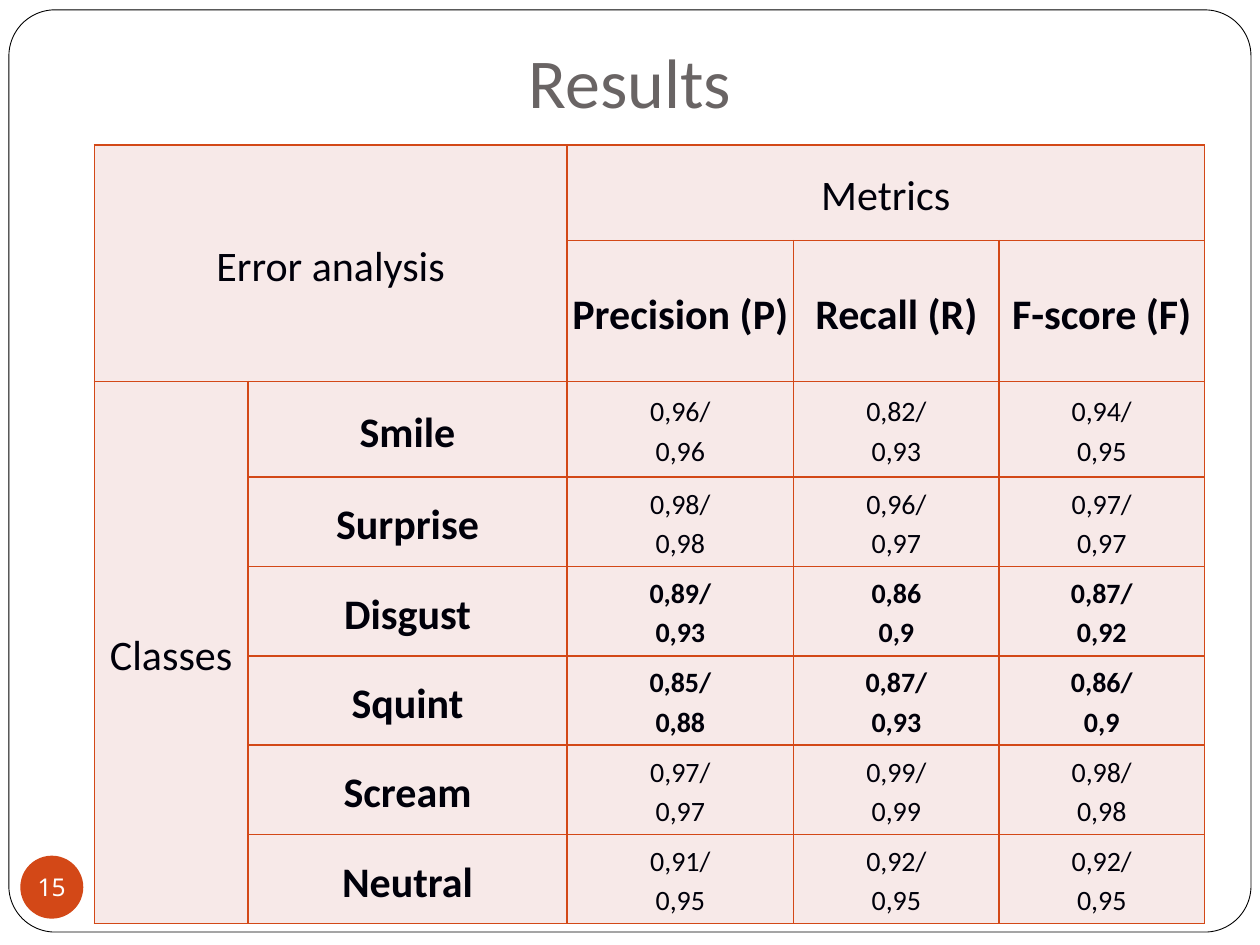
import pptx
import pptx.chart.data
import pptx.dml.color
import pptx.enum.shapes
import pptx.enum.text
import pptx.oxml
import pptx.oxml.ns
import pptx.util

Cm = pptx.util.Cm
Pt = pptx.util.Pt
CENTER = pptx.enum.text.PP_ALIGN.CENTER
MIDDLE = pptx.enum.text.MSO_ANCHOR.MIDDLE
SHAPES = pptx.enum.shapes.MSO_SHAPE

TITLE = "Results"
PAGE = "15"
METRICS = ["Precision (P)", "Recall (R)", "F-score (F)"]
SCORES = [
    ("Smile", False, ["0,96/\n0,96", "0,82/\n0,93", "0,94/\n0,95"]),
    ("Surprise", False, ["0,98/\n0,98", "0,96/\n0,97", "0,97/\n0,97"]),
    ("Disgust", True, ["0,89/\n0,93", "0,86\n0,9", "0,87/\n0,92"]),
    ("Squint", True, ["0,85/\n0,88", "0,87/\n0,93", "0,86/\n0,9"]),
    ("Scream", False, ["0,97/\n0,97", "0,99/\n0,99", "0,98/\n0,98"]),
    ("Neutral", False, ["0,91/\n0,95", "0,92/\n0,95", "0,92/\n0,95"]),
]
COL_WIDTHS = [3.1, 6.43, 4.57, 4.14, 4.14]
ROW_HEIGHTS = [1.93, 2.84, 1.93] + [1.8] * 5
MERGES = [(0, 0, 1, 1), (0, 2, 0, 4), (2, 0, 7, 0)]
ACCENT, TINT, INK, GREY, WHITE = "D34817", "F7E9E8", "00000A", "696464", "FFFFFF"


def rgb(value):
    return pptx.dml.color.RGBColor.from_string(value)


def format_text(tf, size, color, font="Calibri", bold=False, spacing=None):
    for p in tf.paragraphs:
        p.alignment = CENTER
        p.line_spacing = spacing
        p.font.size = Pt(size)
        p.font.name = font
        p.font.bold = bold
        p.font.color.rgb = rgb(color)


def add_shape(kind, left, top, width, height, fill):
    sp = s.shapes.add_shape(kind, Cm(left), Cm(top), Cm(width), Cm(height))
    sp.shadow.inherit = False
    sp.fill.solid()
    sp.fill.fore_color.rgb = rgb(fill)
    return sp


def style_cell(cell):
    cell.margin_left = cell.margin_right = Cm(0.1)
    cell.margin_top = cell.margin_bottom = Cm(0.1)
    cell.vertical_anchor = MIDDLE
    tcPr = cell._tc.get_or_add_tcPr()
    for side in "LRTB":
        tcPr.append(pptx.oxml.parse_xml(
            f'<a:ln{side} {pptx.oxml.ns.nsdecls("a")} w="12700"><a:solidFill>'
            f'<a:srgbClr val="{ACCENT}"/></a:solidFill></a:ln{side}>'))
    cell.fill.solid()
    cell.fill.fore_color.rgb = rgb(TINT)


def write_cell(row, col, text, size=24, bold=False):
    tf = table.cell(row, col).text_frame
    tf.text = text
    format_text(tf, size, INK, bold=bold, spacing=1.15)


prs = pptx.Presentation()
prs.slide_width, prs.slide_height = Cm(25.4), Cm(19.05)
s = prs.slides.add_slide(prs.slide_layouts[5])

frame = add_shape(SHAPES.ROUNDED_RECTANGLE, 0.18, 0.2, 25.04, 18.59, WHITE)
frame.adjustments[0] = 0.05
frame.line.color.rgb = rgb("000000")
frame.line.width = Pt(0.5)
s.shapes._spTree.insert(2, frame._element)

title = s.shapes.title
title.left, title.top, title.width, title.height = Cm(0.3), Cm(0.53), Cm(24.8), Cm(2.2)
tf = title.text_frame
tf.text = TITLE
tf.vertical_anchor = pptx.enum.text.MSO_ANCHOR.BOTTOM
tf.margin_bottom = Cm(0.25)
format_text(tf, 40, GREY)

table = s.shapes.add_table(
    len(ROW_HEIGHTS), len(COL_WIDTHS), Cm(1.9), Cm(2.92),
    Cm(sum(COL_WIDTHS)), Cm(sum(ROW_HEIGHTS))).table
table.first_row = table.horz_banding = False
for column, width in zip(table.columns, COL_WIDTHS):
    column.width = Cm(width)
for row, height in zip(table.rows, ROW_HEIGHTS):
    row.height = Cm(height)
for cell in table.iter_cells():
    style_cell(cell)
for top, left, bottom, right in MERGES:
    table.cell(top, left).merge(table.cell(bottom, right))

write_cell(0, 0, "Error analysis")
write_cell(0, 2, "Metrics")
write_cell(2, 0, "Classes")
for col, metric in enumerate(METRICS, 2):
    write_cell(1, col, metric, bold=True)
for row, (label, bold, values) in enumerate(SCORES, 2):
    write_cell(row, 1, label, bold=True)
    for col, value in enumerate(values, 2):
        write_cell(row, col, value, 16, bold)

badge = add_shape(SHAPES.OVAL, 0.41, 17.25, 1.27, 1.27, ACCENT)
badge.line.fill.background()
tf = badge.text_frame
tf.text = PAGE
tf.word_wrap = False
tf.vertical_anchor = MIDDLE
tf.margin_left = tf.margin_right = tf.margin_top = tf.margin_bottom = 0
format_text(tf, 14, WHITE, "Noto Sans")

prs.save("out.pptx")
